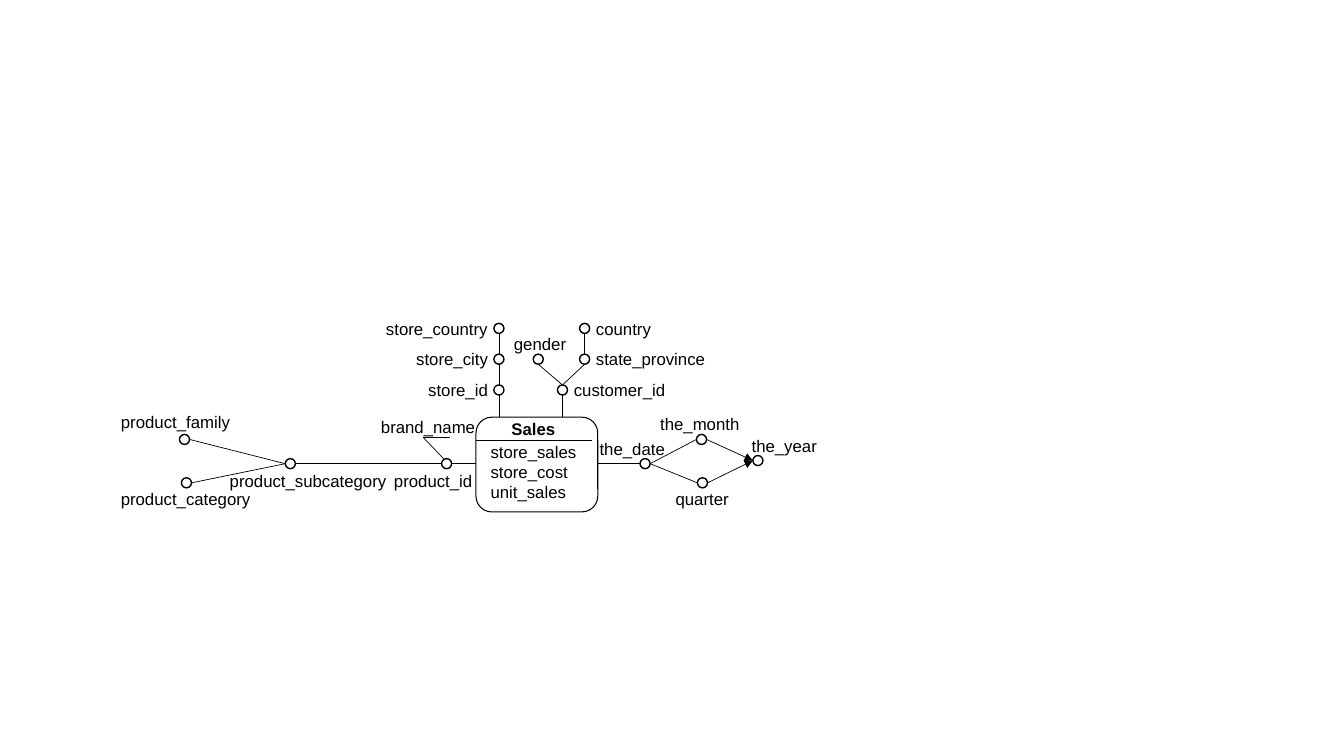
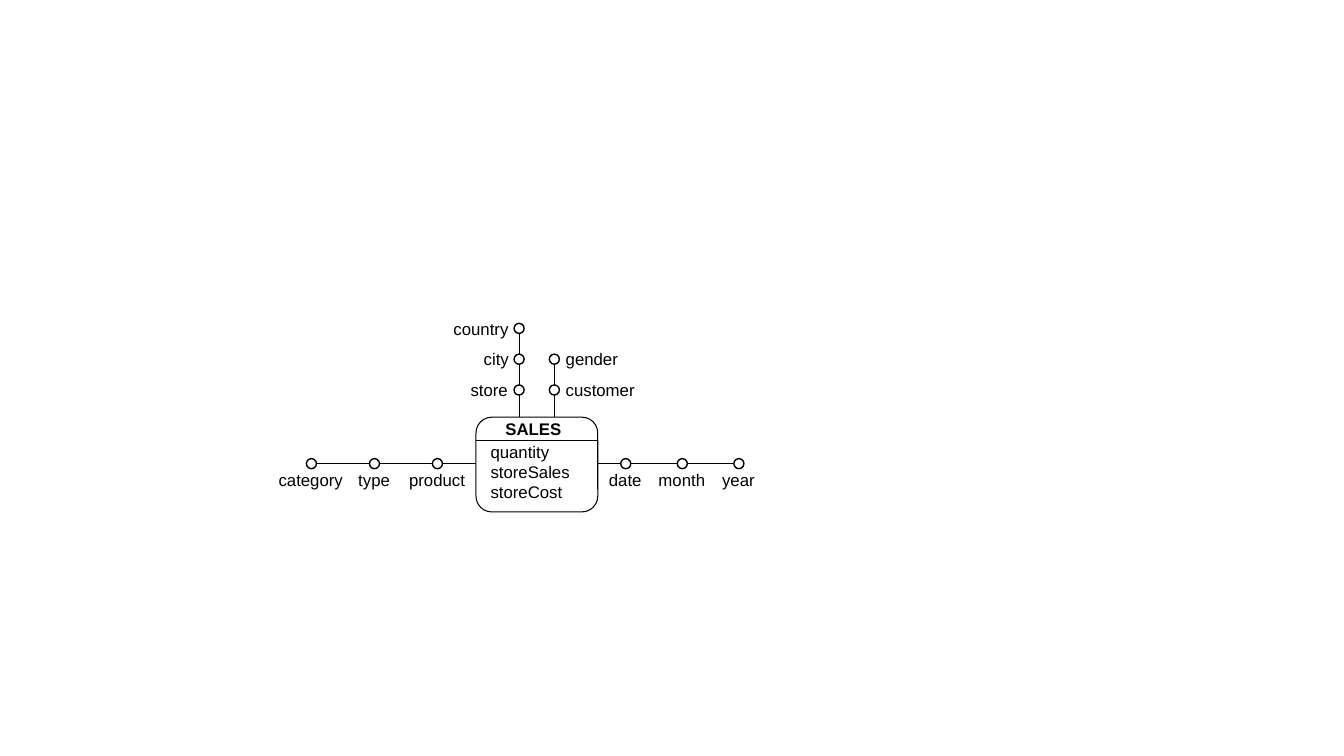
from dataclasses import dataclass

from lxml import etree
from pptx import Presentation
from pptx.dml.color import RGBColor
from pptx.enum.shapes import MSO_CONNECTOR as CONNECTOR, MSO_SHAPE as SHAPE
from pptx.enum.text import MSO_ANCHOR as ANCHOR, MSO_AUTO_SIZE as FIT, PP_ALIGN as ALIGN
from pptx.oxml.ns import qn
from pptx.util import Pt

BLACK = RGBColor(0, 0, 0)
WHITE = RGBColor(255, 255, 255)
FONT, TEXT_SIZE = "Arial", 12
THIN, RADIUS, LABEL_HEIGHT = 0.5, 3.6, 21.6
FACT_LEFT, FACT_TOP, FACT_WIDTH, FACT_HEIGHT = 340, 298, 87, 67.7
HEADER_HEIGHT, TITLE_CENTER = 16.7, 41
AXIS = 33.2
UPPER, LOWER = 15.9, 46.9
LEVEL_1, LEVEL_2, LEVEL_3 = (-19.4 - 22 * rank for rank in range(3))
LEFT, RIGHT, UP = (-1, 0), (1, 0), (0, -1)


@dataclass
class Level:
    """One attribute of a hierarchy, placed relative to the fact box."""
    name: str
    x: float
    y: float
    side: str
    width: float
    sources: tuple = ()
    nudge: tuple = (0, 0)


def write(frame, lines, bold=False, align=ALIGN.LEFT, anchor=ANCHOR.TOP, wrap=True, fit=FIT.NONE):
    """Put lines of text into a frame as paragraphs."""
    frame.word_wrap = wrap
    frame.auto_size = fit
    frame.vertical_anchor = anchor
    for number, line in enumerate(lines):
        paragraph = frame.add_paragraph() if number else frame.paragraphs[0]
        paragraph.alignment = align
        run = paragraph.add_run()
        run.text = line
        font = run.font
        font.name, font.size, font.bold = FONT, Pt(TEXT_SIZE), bold
        font.color.rgb = BLACK


def add_label(shapes, text, left, top, width, **text_format):
    """Add a one-line text box."""
    label = shapes.add_textbox(Pt(left), Pt(top), Pt(width), Pt(LABEL_HEIGHT))
    write(label.text_frame, [text], fit=FIT.SHAPE_TO_FIT_TEXT, **text_format)


def outline(shape, width, fill=None):
    """Give a shape a black line and either a fill or none."""
    shape.shadow.inherit = False
    shape.line.color.rgb = BLACK
    shape.line.width = Pt(width)
    if fill is None:
        shape.fill.background()
    else:
        shape.fill.solid()
        shape.fill.fore_color.rgb = fill


def add_link(shapes, start, end, arrow=False):
    """Draw a thin straight line, with an arrowhead at its end if asked."""
    link = shapes.add_connector(CONNECTOR.STRAIGHT, *map(Pt, start + end))
    link.line.color.rgb = BLACK
    link.line.width = Pt(THIN)
    properties = link._element.spPr
    etree.SubElement(properties, qn("a:effectLst"))
    if arrow:
        etree.SubElement(properties.find(qn("a:ln")), qn("a:tailEnd"), type="triangle")


def add_level(shapes, level, left, top):
    """Draw the circle of a level and its label on the given side."""
    x, y = left + level.x, top + level.y
    circle = shapes.add_shape(SHAPE.OVAL, Pt(x - RADIUS), Pt(y - RADIUS),
                              Pt(2 * RADIUS), Pt(2 * RADIUS))
    outline(circle, 1)
    label_left, label_top = {
        "left": (x - level.width, y - LABEL_HEIGHT / 2),
        "right": (x + 1, y - LABEL_HEIGHT / 2),
        "above": (x - level.width / 2, y - LABEL_HEIGHT),
        "below": (x - level.width / 2, y + 1),
    }[level.side]
    add_label(shapes, level.name, label_left + level.nudge[0],
              label_top + level.nudge[1], level.width, wrap=False)


def add_dimension(shapes, levels, direction, left, top):
    """Draw a hierarchy that leaves the fact box in one direction."""
    across, down = direction
    by_name = {level.name: level for level in levels}
    for level in levels:
        end = (left + level.x - across * RADIUS, top + level.y - down * RADIUS)
        for name in level.sources:
            source = by_name[name]
            start = (left + source.x + across * RADIUS, top + source.y + down * RADIUS)
            add_link(shapes, start, end, arrow=len(level.sources) > 1)
        if not level.sources:
            edge = {LEFT: (left, end[1]), RIGHT: (left + FACT_WIDTH, end[1]),
                    UP: (end[0], top + 2)}[direction]
            add_link(shapes, edge, end)
        add_level(shapes, level, left, top)


def add_fact(shapes, title, measures, left, top, title_width, divider_width):
    """Draw the fact box with its title and measures."""
    parts = shapes.add_group_shape().shapes
    body = parts.add_shape(SHAPE.ROUNDED_RECTANGLE, Pt(left), Pt(top),
                           Pt(FACT_WIDTH), Pt(FACT_HEIGHT))
    outline(body, 0.75, WHITE)
    write(body.text_frame, measures, anchor=ANCHOR.BOTTOM)
    divider_top = top + HEADER_HEIGHT
    add_link(parts, (left, divider_top), (left + divider_width, divider_top))
    add_label(parts, title, left + TITLE_CENTER - title_width / 2, top - 2.2,
              title_width, bold=True, align=ALIGN.CENTER)


def add_brand(shapes, left, top):
    """Draw the descriptive attribute that hangs on the product."""
    branch = shapes.build_freeform(Pt(left - 22.5), Pt(top + 30.3))
    branch.add_line_segments([(Pt(left + x), Pt(top + 14.5)) for x in (-37.6, -18.9, -19.6)],
                             close=False)
    outline(branch.convert_to_shape(), THIN)
    add_label(shapes, "brand_name", left - 75, top - 4.2, 82, wrap=False)


def add_schema(deck, title, measures, dimensions, title_width, divider_width=FACT_WIDTH):
    """Add a slide with a fact and its dimensions, and return its shapes."""
    shapes = deck.slides.add_slide(deck.slide_layouts[6]).shapes
    for direction, levels in dimensions:
        add_dimension(shapes, levels, direction, FACT_LEFT, FACT_TOP)
    add_fact(shapes, title, measures, FACT_LEFT, FACT_TOP, title_width, divider_width)
    return shapes


def chain(names, widths, positions, side):
    """Return levels that roll up one after another."""
    return [Level(name, x, y, side, width, tuple(names[max(rank - 1, 0):rank]))
            for rank, (name, width, (x, y)) in enumerate(zip(names, widths, positions))]


def column(x):
    """Return the three positions of a hierarchy above the fact box."""
    return [(x, y) for y in (LEVEL_1, LEVEL_2, LEVEL_3)]


def row(first, step):
    """Return three equally spaced positions beside the fact box."""
    return [(first + rank * step, AXIS) for rank in range(3)]


SOURCE_DIMENSIONS = [
    (LEFT, [
        Level("product_id", -21, AXIS, "below", 70.6, nudge=(-9.4, 0.4)),
        Level("product_subcategory", -132.6, AXIS, "below", 127.4, ("product_id",), (13.3, 0.4)),
        Level("product_category", -206.8, LOWER, "below", 108, ("product_subcategory",)),
        Level("product_family", -208.2, UPPER, "above", 92.9, ("product_subcategory",), (-6.1, -1.4)),
    ]),
    (RIGHT, [
        Level("the_date", 120.8, AXIS, "above", 61.2, nudge=(-9, 0)),
        Level("the_month", 161.1, UPPER, "above", 71.3, ("the_date",), (-1, 0)),
        Level("quarter", 161.8, LOWER, "below", 52.6, ("the_date",)),
        Level("the_year", 201.4, 31, "above", 61.2, ("the_month", "quarter"), (19, 0)),
    ]),
    (UP, chain(["store_id", "store_city", "store_country"], [57.6, 66.2, 87.8],
               column(16.4), "left")),
    (UP, [
        Level("customer_id", 61.8, LEVEL_1, "right", 80.6),
        Level("gender", 44.5, LEVEL_2, "above", 51.8, ("customer_id",), (1.4, 0)),
        Level("state_province", 77.6, LEVEL_2, "right", 92.9, ("customer_id",)),
        Level("country", 77.6, LEVEL_3, "right", 54, ("state_province",)),
    ]),
]
TARGET_DIMENSIONS = [
    (LEFT, chain(["product", "type", "category"], [54.7, 37.4, 61.2], row(-27.5, -45), "below")),
    (RIGHT, chain(["date", "month", "year"], [38.2, 48.2, 38.2], row(107, 40.4), "below")),
    (UP, chain(["store", "city", "country"], [41.8, 32.4, 54], column(30.8), "left")),
    (UP, chain(["customer", "gender"], [64.1, 51.8], column(56), "right")),
]

deck = Presentation()
deck.slide_width, deck.slide_height = Pt(960), Pt(540)
source_schema = add_schema(deck, "Sales", ["store_sales", "store_cost", "unit_sales"],
                           SOURCE_DIMENSIONS, title_width=46, divider_width=82.8)
add_brand(source_schema, FACT_LEFT, FACT_TOP)
add_schema(deck, "SALES", ["quantity", "storeSales", "storeCost"],
           TARGET_DIMENSIONS, title_width=59)
deck.save("out.pptx")
